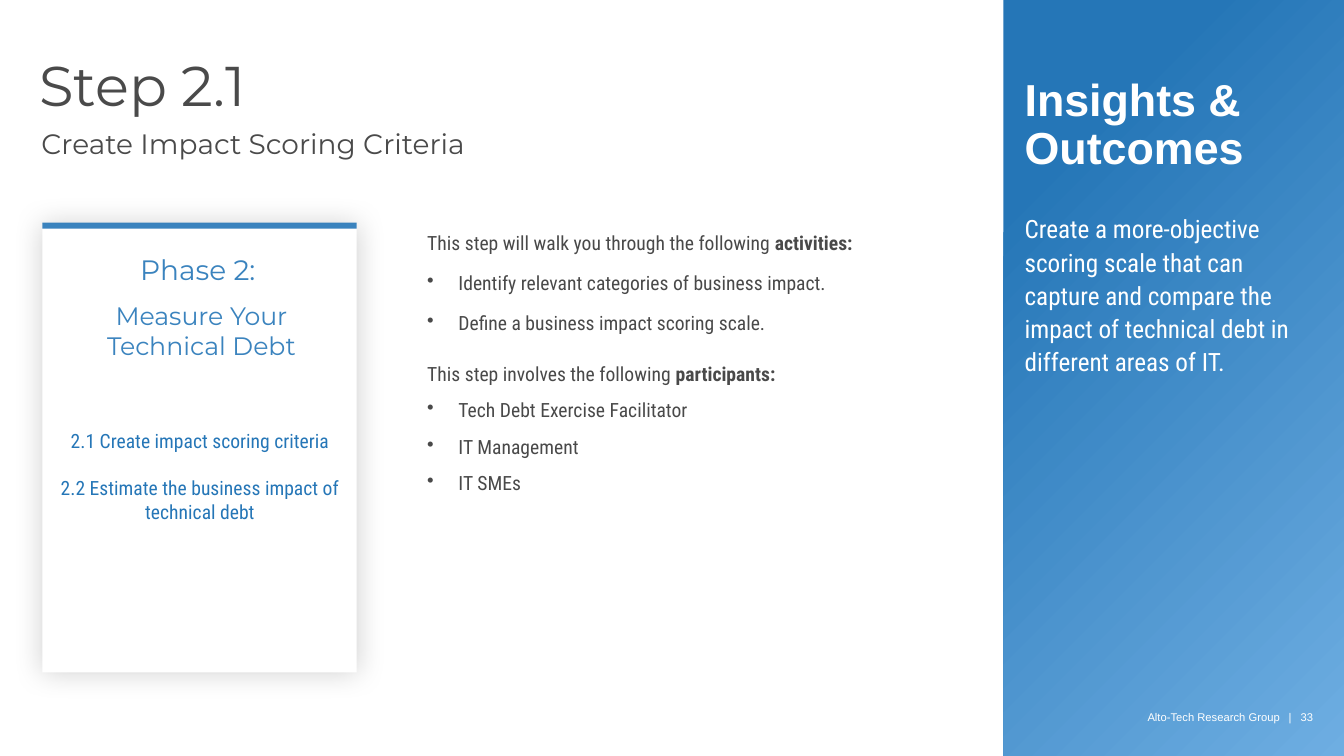
from dataclasses import dataclass, field

from lxml import etree
from pptx import Presentation
from pptx.dml.color import RGBColor
from pptx.enum.shapes import MSO_SHAPE
from pptx.enum.text import MSO_ANCHOR, MSO_AUTO_SIZE, PP_ALIGN
from pptx.oxml.ns import qn
from pptx.util import Inches, Pt

RECTANGLE = MSO_SHAPE.RECTANGLE
TOP = MSO_ANCHOR.TOP
NO_AUTOFIT = MSO_AUTO_SIZE.NONE
LEFT, CENTER = PP_ALIGN.LEFT, PP_ALIGN.CENTER

HEADING, BODY, PLAIN = "Montserrat", "Roboto Condensed", "Arial"
BLUE, SKY, WHITE, BLACK = "2576B7", "6EAEE2", "FFFFFF", "000000"
CHARCOAL, GRAPHITE = "4A4A4A", "494949"
BULLET_INDENT = 0.31


@dataclass
class Line:
    text: str
    bold_end: str = ""
    size: float | None = None
    bullet: bool = False
    format: dict = field(default_factory=dict)


@dataclass
class TextBlock:
    box: tuple[float, float, float, float]
    lines: list[Line]
    font: str
    size: float
    color: str
    alpha: int = 100
    bold: bool = False
    align: PP_ALIGN = LEFT
    tabs: tuple[float, ...] = ()


def rgb(color: str) -> RGBColor:
    """Turn a hex string into a colour."""
    return RGBColor.from_string(color)


def paint(fill, color: str, alpha: int = 100) -> None:
    """Give a fill one colour, with its opacity in percent."""
    fill.solid()
    fill.fore_color.rgb = rgb(color)
    if alpha < 100:
        srgb = fill._xPr.find(".//" + qn("a:srgbClr"))
        etree.SubElement(srgb, qn("a:alpha"), val=str(alpha * 1000))


def add_rectangle(slide, box: tuple[float, float, float, float]):
    """Add a rectangle without outline or shadow."""
    rectangle = slide.shapes.add_shape(RECTANGLE, *map(Inches, box))
    rectangle.shadow.inherit = False
    rectangle.line.fill.background()
    return rectangle


def add_glow_shadow(shape, blur: float, alpha: int) -> None:
    """Spread a soft black shadow evenly around a shape."""
    effects = shape._element.spPr.find(qn("a:effectLst"))
    shadow = etree.SubElement(effects, qn("a:outerShdw"), blurRad=str(Pt(blur)),
                              dist="0", algn="ctr", rotWithShape="0")
    shade = etree.SubElement(shadow, qn("a:srgbClr"), val=BLACK)
    etree.SubElement(shade, qn("a:alpha"), val=str(alpha * 1000))


def add_paragraph_marks(paragraph, line: Line, tabs: tuple[float, ...]) -> None:
    """Add the bullet and tab stops of a paragraph."""
    properties = paragraph._p.get_or_add_pPr()
    if line.bullet:
        indent = Inches(BULLET_INDENT)
        properties.set("marL", str(indent))
        properties.set("indent", str(-indent))
        etree.SubElement(properties, qn("a:buChar"), char="•")
    if tabs:
        stops = etree.SubElement(properties, qn("a:tabLst"))
        for position in tabs:
            etree.SubElement(stops, qn("a:tab"), pos=str(Inches(position)), algn="l")


def write_block(holder, block: TextBlock) -> None:
    """Place a text holder and fill it with the lines of a block."""
    for name, value in zip(("left", "top", "width", "height"), block.box):
        setattr(holder, name, Inches(value))
    frame = holder.text_frame
    frame_format = {"word_wrap": True, "auto_size": NO_AUTOFIT, "vertical_anchor": TOP,
                    "margin_left": 0, "margin_right": 0, "margin_top": 0, "margin_bottom": 0}
    for name, value in frame_format.items():
        setattr(frame, name, value)
    for index, line in enumerate(block.lines):
        paragraph = frame.add_paragraph() if index else frame.paragraphs[0]
        add_paragraph_marks(paragraph, line, block.tabs)
        for name, value in ({"alignment": block.align} | line.format).items():
            setattr(paragraph, name, value)
        for text, bold in ((line.text, block.bold), (line.bold_end, True)):
            if text:
                run = paragraph.add_run()
                run.text = text
                run_format = {"name": block.font, "size": Pt(line.size or block.size), "bold": bold}
                for name, value in run_format.items():
                    setattr(run.font, name, value)
                paint(run.font.fill, block.color, block.alpha)


TIGHT = {"line_spacing": 0.9}
LOOSE = {"line_spacing": 1.1}
ACTIVITY = LOOSE | {"space_before": Pt(10)}
PARTICIPANT = {"line_spacing": Pt(16), "space_before": Pt(10)}

STEP_TITLE = TextBlock((0.39, 0.58, 9.27, 0.57), [Line("Step 2.1", format=TIGHT)],
                       HEADING, 40, CHARCOAL)
TEXT_BLOCKS = [
    TextBlock((0.41, 1.29, 6.47, 0.5), [Line("Create Impact Scoring Criteria", format=TIGHT)],
              HEADING, 20, CHARCOAL),
    TextBlock((10.17, 0.77, 2.78, 0.52), [Line("Insights & Outcomes", format=TIGHT)],
              PLAIN, 32, WHITE, bold=True),
    TextBlock((10.17, 2.09, 2.78, 3.53),
              [Line("Create a more-objective scoring scale that can capture and compare "
                    "the impact of technical debt in different areas of IT.", format=LOOSE)],
              BODY, 18, WHITE),
    TextBlock((0.6, 2.57, 2.8, 1.4),
              [Line("Phase 2: ", format={"line_spacing": 0.8}),
               Line("Measure Your Technical Debt", size=18, format={"space_before": Pt(10)})],
              HEADING, 20, BLUE, alpha=90, align=CENTER),
    TextBlock((0.57, 4.26, 2.83, 1.89),
              [Line("2.1 Create impact scoring criteria"),
               Line("2.2 Estimate the business impact of technical debt",
                    format={"space_before": Pt(16.4)})],
              BODY, 14, BLUE, align=CENTER),
    TextBlock((4.24, 2.27, 4.78, 4.47),
              [Line("This step will walk you through the following ", "activities:", format=LOOSE),
               *(Line(activity, bullet=True, format=ACTIVITY) for activity in (
                   "Identify relevant categories of business impact.",
                   "Define a business impact scoring scale.")),
               Line("This step involves the following ", "participants:",
                    format=LOOSE | {"space_before": Pt(18)}),
               *(Line(participant, bullet=True, format=PARTICIPANT) for participant in (
                   "Tech Debt Exercise Facilitator", "IT Management", "IT SMEs"))],
              BODY, 14, GRAPHITE),
    TextBlock((11.39, 7.05, 1.8, 0.13), [Line("Alto-Tech Research Group\t|\t33")],
              PLAIN, 8, WHITE, tabs=(1.4, 1.52)),
]


def add_insights_panel(slide) -> None:
    """Draw the gradient panel on the right."""
    panel = add_rectangle(slide, (9.96, 0, 3.38, 7.5))
    panel.fill.gradient()
    panel.fill.gradient_angle = 315
    for stop, (position, color) in zip(panel.fill.gradient_stops, ((0.19, BLUE), (1, SKY))):
        stop.position = position
        stop.color.rgb = rgb(color)


def add_phase_card(slide) -> None:
    """Draw the white phase card with its blue top edge."""
    card = add_rectangle(slide, (0.42, 2.22, 3.12, 4.45))
    paint(card.fill, WHITE)
    add_glow_shadow(card, blur=21, alpha=19)
    top_edge = add_rectangle(slide, (0.42, 2.21, 3.12, 0.06))
    paint(top_edge.fill, BLUE, alpha=90)


def main() -> None:
    """Build the slide and save it."""
    presentation = Presentation()
    presentation.slide_width, presentation.slide_height = Inches(13.34), Inches(7.5)
    slide = presentation.slides.add_slide(presentation.slide_layouts[5])
    add_insights_panel(slide)
    add_phase_card(slide)
    write_block(slide.shapes.title, STEP_TITLE)
    for block in TEXT_BLOCKS:
        write_block(slide.shapes.add_textbox(*map(Inches, block.box)), block)
    presentation.save("out.pptx")


if __name__ == "__main__":
    main()
